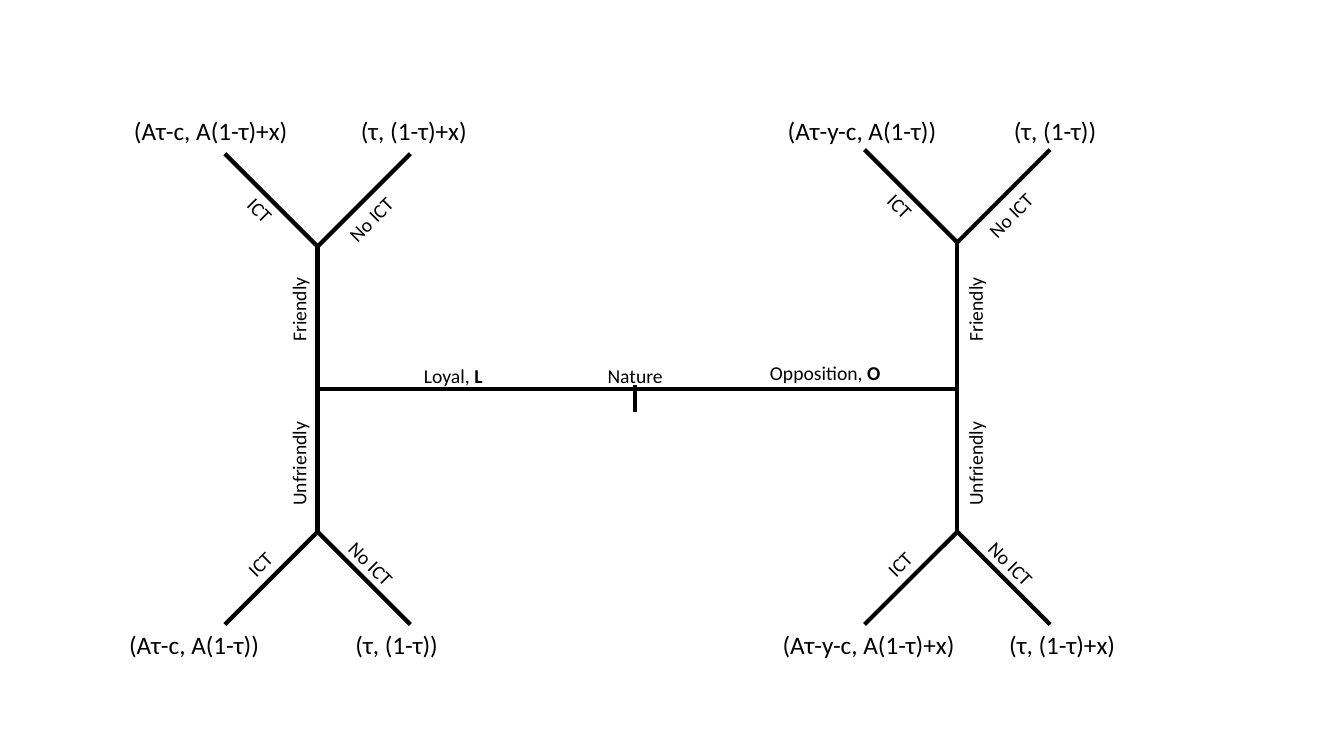
from pptx import Presentation, util as u
from pptx.dml.color import RGBColor
from pptx.enum import shapes, text
from pptx.oxml.ns import qn
from lxml import etree

COLORS = {"ink": "000000"}
INK = RGBColor.from_string(COLORS["ink"])
CELL = u.Inches(0.1)

deck = Presentation()
deck.slide_width, deck.slide_height = u.Inches(13.33), u.Inches(7.5)
page = deck.slides.add_slide(deck.slide_layouts[6])


def add_line(*ends):
    line = page.shapes.add_connector(
        shapes.MSO_CONNECTOR.STRAIGHT, *[round(end * CELL) for end in ends])
    line.line.color.rgb = INK
    line.line.width = u.Pt(3)
    etree.SubElement(line._element.spPr, qn("a:effectLst"))


def add_label(words, column, row, width, size=14, rotation=0, bold=""):
    height = 3.4 if size == 14 else 4
    box = page.shapes.add_textbox(
        *[round(length * CELL) for length in
          (column - width / 2, row - height / 2, width, height)])
    box.rotation = rotation
    box.text_frame.word_wrap = False
    box.text_frame.auto_size = text.MSO_AUTO_SIZE.SHAPE_TO_FIT_TEXT
    para = box.text_frame.paragraphs[0]
    para.alignment = text.PP_ALIGN.CENTER
    para.font.name = "Calibri"
    para.font.size = u.Pt(size)
    para.font.color.rgb = INK
    para.add_run().text = words
    if bold:
        span = para.add_run()
        span.text = bold
        span.font.bold = True


LEFT_TRUNK, RIGHT_TRUNK = 31.5, 94.95
BASE_ROW = 38.6
BOTTOM_FORK = 52.75
REACH = 9.2

add_line(LEFT_TRUNK, BASE_ROW, RIGHT_TRUNK, BASE_ROW)
add_line(63, 38.2, 63, 40.9)
add_label("Nature", 63, 37.3, 7.6)
add_label("Loyal, ", 44.95, 37.3, 7.9, bold="L")
add_label("Opposition, ", 81.85, 37, 13.1, bold="O")

sides = [
    (LEFT_TRUNK, 24.45, 29.65, 12.2,
     [("(Aτ-c, A(1-τ)+x)", 17.4), ("(τ, (1-τ)+x)", 12.7)],
     [("(Aτ-c, A(1-τ))", 15.1), ("(τ, (1-τ))", 10.3)]),
    (RIGHT_TRUNK, 24.05, 96.75, 77,
     [("(Aτ-y-c, A(1-τ))", 17), ("(τ, (1-τ))", 10.3)],
     [("(Aτ-y-c, A(1-τ)+x)", 19.3), ("(τ, (1-τ)+x)", 12.7)]),
]
for trunk, top_fork, stance_column, payoff_left, top_payoffs, bottom_payoffs in sides:
    add_line(trunk, top_fork, trunk, BOTTOM_FORK)
    add_label("Friendly", stance_column, 30.7, 8.5, rotation=270)
    add_label("Unfriendly", stance_column, 46, 10.4, rotation=270)

    forks = [
        (top_fork, -1, (-3.6, -2.7), payoff_left, 12.9, top_payoffs),
        (BOTTOM_FORK, 1, (3.2, 3.2), payoff_left - 0.5, 63.9, bottom_payoffs),
    ]
    for fork, heading, label_rows, first_left, payoff_row, payoffs in forks:
        choices = [("ICT", -1, -5.7, 4.5), ("No ICT", 1, 5.3, 7.3)]
        for index, (choice, side, offset, width) in enumerate(choices):
            add_line(trunk, fork, trunk + side * REACH, fork + heading * REACH)
            angle = 45 if side == heading else 315
            add_label(choice, trunk + offset, fork + label_rows[index], width,
                      rotation=angle)
            payoff, payoff_width = payoffs[index]
            add_label(payoff, first_left + 22.5 * index + payoff_width / 2,
                      payoff_row, payoff_width, size=18)

deck.save("out.pptx")
